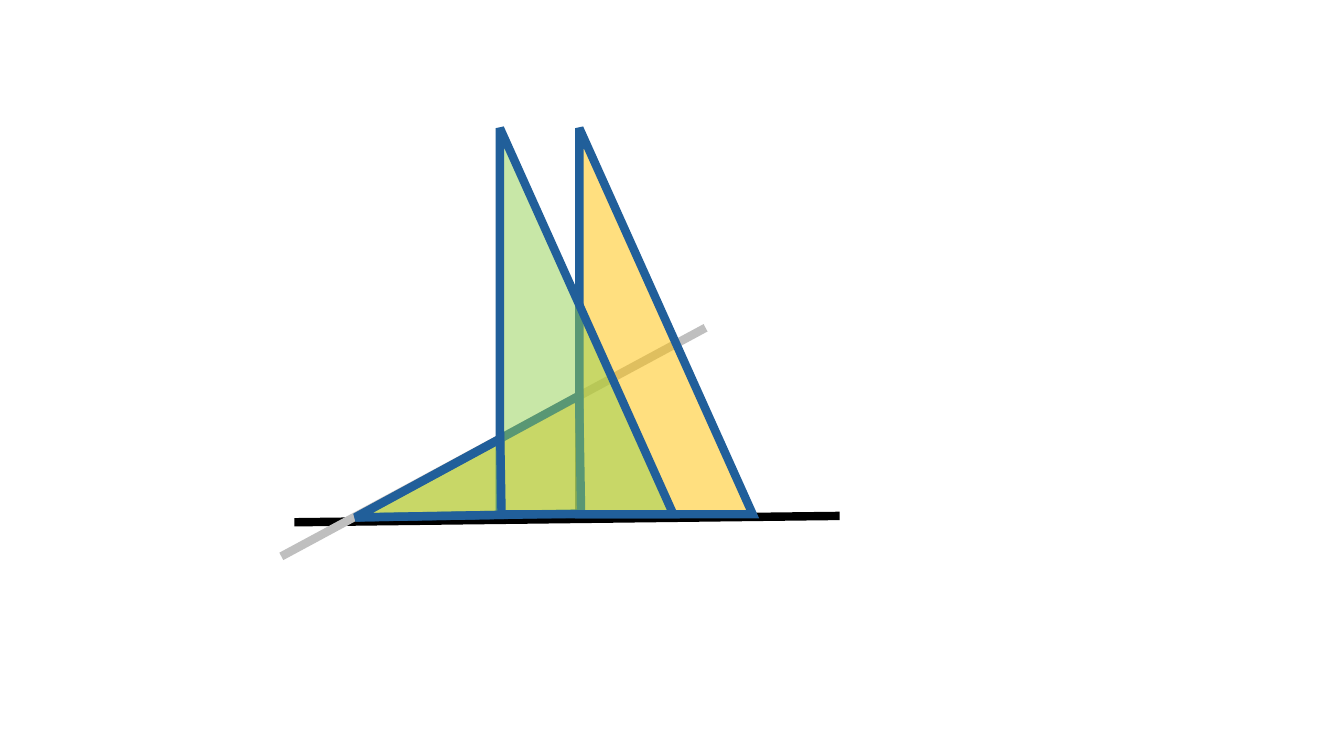
from dataclasses import dataclass

from lxml.etree import SubElement
from pptx import Presentation
from pptx.dml.color import RGBColor
from pptx.dml.line import LineFormat
from pptx.enum.shapes import MSO_CONNECTOR, MSO_SHAPE
from pptx.oxml.ns import qn
from pptx.slide import Slide
from pptx.util import Cm, Pt


@dataclass(frozen=True)
class Theme:
    ground: str = "000000"
    ray: str = "BFBFBF"
    outline: str = "215F9A"
    amber: str = "FFC000"
    green: str = "92D050"
    line_width: float = 6
    opacity_percent: int = 50


@dataclass(frozen=True)
class Line:
    start: tuple[float, float]
    end: tuple[float, float]
    color: str


@dataclass(frozen=True)
class Triangle:
    left: float
    top: float
    width: float
    height: float
    color: str
    rotation: float = 0


THEME = Theme()

# Lengths in centimetres
UPRIGHT_TOP, UPRIGHT_WIDTH, UPRIGHT_HEIGHT = 3.23, 4.37, 9.73
LYING_ROTATION = 269

LINES = [
    Line((7.42, 13.16), (21.16, 13.0), THEME.ground),
    Line((7.09, 14.02), (17.78, 8.26), THEME.ray),
]

# Each colour has an upright triangle and a lying one, back to front
TRIANGLES = [
    Triangle(14.6, UPRIGHT_TOP, UPRIGHT_WIDTH, UPRIGHT_HEIGHT, THEME.amber),
    Triangle(10.29, 8.66, 2.97, 5.69, THEME.amber, LYING_ROTATION),
    Triangle(12.6, UPRIGHT_TOP, UPRIGHT_WIDTH, UPRIGHT_HEIGHT, THEME.green),
    Triangle(9.83, 10.21, 1.91, 3.68, THEME.green, LYING_ROTATION),
]


def format_line(line: LineFormat, color: str) -> None:
    line.color.rgb = RGBColor.from_string(color)
    line.width = Pt(THEME.line_width)


def draw_line(slide: Slide, line: Line) -> None:
    connector = slide.shapes.add_connector(
        MSO_CONNECTOR.STRAIGHT, *map(Cm, line.start + line.end)
    )
    format_line(connector.line, line.color)
    SubElement(connector._element.spPr, qn("a:effectLst"))


def draw_triangle(slide: Slide, triangle: Triangle) -> None:
    shape = slide.shapes.add_shape(
        MSO_SHAPE.RIGHT_TRIANGLE,
        Cm(triangle.left), Cm(triangle.top),
        Cm(triangle.width), Cm(triangle.height),
    )
    shape.rotation = triangle.rotation
    shape.shadow.inherit = False
    shape.fill.solid()
    shape.fill.fore_color.rgb = RGBColor.from_string(triangle.color)
    format_line(shape.line, THEME.outline)

    # Transparent fill and sharp corners
    properties = shape._element.spPr
    fill_color = properties.find(f"{qn('a:solidFill')}/{qn('a:srgbClr')}")
    SubElement(fill_color, qn("a:alpha"), val=str(THEME.opacity_percent * 1000))
    SubElement(properties.find(qn("a:ln")), qn("a:miter"), lim="800000")


def main() -> None:
    presentation = Presentation()
    presentation.slide_width = Cm(33.87)
    presentation.slide_height = Cm(19.05)
    slide = presentation.slides.add_slide(presentation.slide_layouts[6])

    for line in LINES:
        draw_line(slide, line)
    for triangle in TRIANGLES:
        draw_triangle(slide, triangle)

    presentation.save("out.pptx")


if __name__ == "__main__":
    main()
